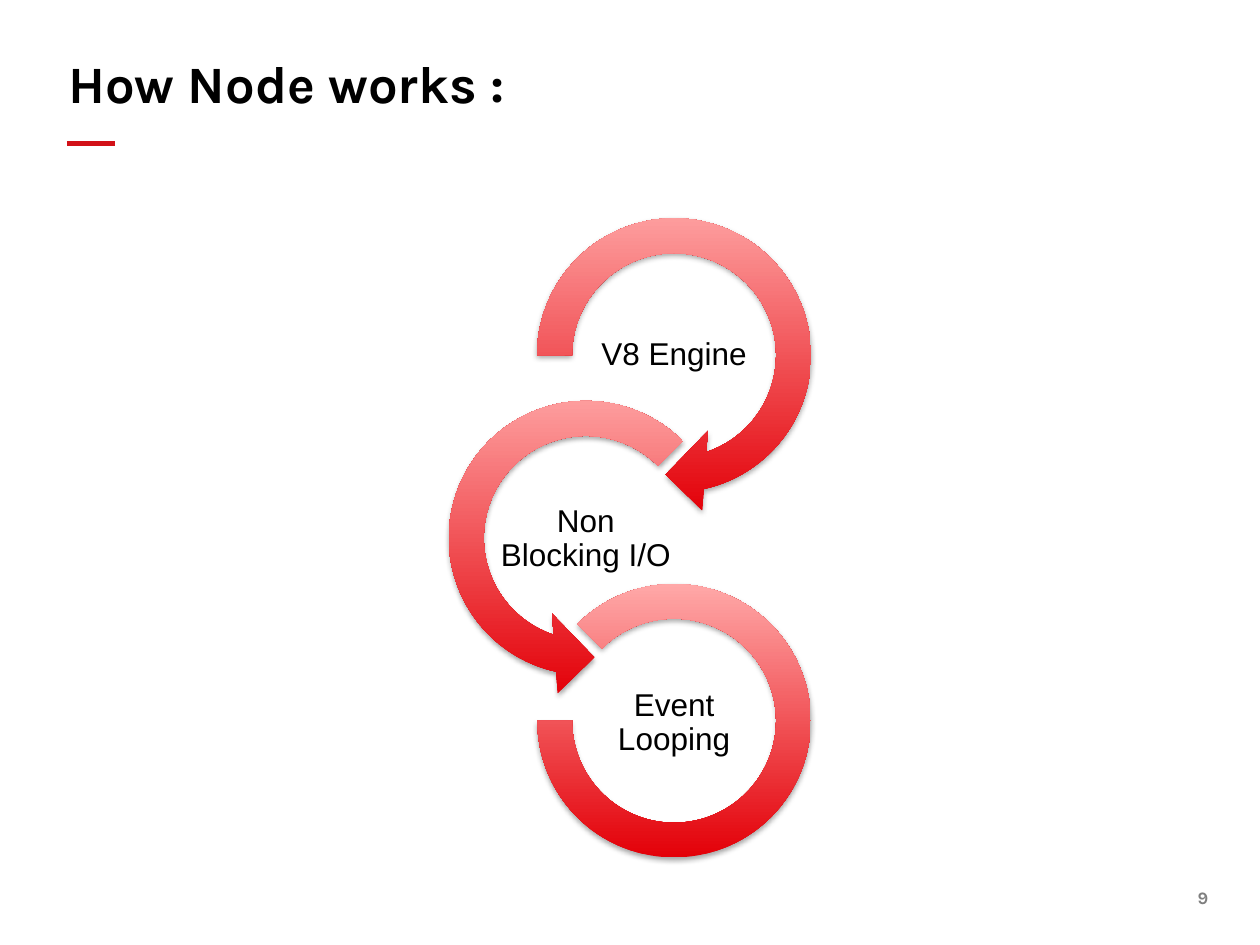
from lxml import etree
from pptx import Presentation, util as u
from pptx.dml.color import RGBColor
from pptx.enum import shapes, text
from pptx.oxml.ns import qn

TITLE = "How Node works :"
PAGE_NUMBER = "9"
SHAPE = shapes.MSO_SHAPE
# label, preset, column, diameter, adjustments
STEPS = [
    ("V8 Engine", SHAPE.CIRCULAR_ARROW, 1, 2.53, (0.11, 11.42, 45, 108, 0.125)),
    ("Non Blocking I/O", SHAPE.LEFT_CIRCULAR_ARROW, 0, 2.53, (0.11, 11.42, 63, 189, 0.125)),
    ("Event Looping", SHAPE.BLOCK_ARC, 1, 2.17, (135, 108, 0.127)),
]
COLORS = {"text": "000000", "accent": "D21118", "number": "7F7F7F",
          "ring_bottom": "E30008", "ring_top": "FFA8A8", "shadow": "000000"}

WIDTH, HEIGHT = 10, 7.5
FIRST_X, COLUMN_STEP = 4.65, 0.7
FIRST_Y, RING_STEP, LABEL_STEP = 2.82, 1.45, 1.46
LABEL_WIDTH, LABEL_HEIGHT = 1.4, 0.7


def rgb(name):
    return RGBColor.from_string(COLORS[name])


def centred(x, y, width, height):
    """Box around a centre point, as left, top, width, height."""
    return x - width / 2, y - height / 2, width, height


def add_text(slide, content, box, font, size, color="text", bold=False, inset=0,
             align=text.PP_ALIGN.LEFT, anchor=text.MSO_ANCHOR.TOP, spacing=0.9):
    frame = slide.shapes.add_textbox(*map(u.Inches, box)).text_frame
    frame.word_wrap = True
    frame.vertical_anchor = anchor
    frame.margin_left = frame.margin_right = u.Inches(inset)
    frame.margin_top = frame.margin_bottom = u.Inches(inset)
    frame.text = content
    paragraph = frame.paragraphs[0]
    paragraph.alignment = align
    paragraph.line_spacing = spacing
    run_font = paragraph.runs[0].font
    run_font.name, run_font.size, run_font.bold = font, u.Pt(size), bold
    run_font.color.rgb = rgb(color)


def add_soft_shadow(shape):
    shape.shadow.inherit = False
    effects = shape._element.spPr.find(qn("a:effectLst"))
    shadow = etree.SubElement(effects, qn("a:outerShdw"), blurRad=str(u.Pt(3.1)),
                              dist=str(u.Pt(1.8)), dir="5400000", rotWithShape="0")
    color = etree.SubElement(shadow, qn("a:srgbClr"), val=COLORS["shadow"])
    etree.SubElement(color, qn("a:alpha"), val="35000")


def add_ring(slide, preset, box, adjustments):
    ring = slide.shapes.add_shape(preset, *map(u.Inches, box))
    for index, value in enumerate(adjustments):
        ring.adjustments[index] = value
    ring.fill.gradient()
    ring.fill.gradient_angle = 90
    for stop, name in zip(ring.fill.gradient_stops, ("ring_bottom", "ring_top")):
        stop.color.rgb = rgb(name)
    ring.line.fill.background()
    add_soft_shadow(ring)


def add_accent(slide, left, right, y):
    accent = slide.shapes.add_connector(
        shapes.MSO_CONNECTOR.STRAIGHT, *map(u.Inches, (left, y, right, y)))
    accent.line.color.rgb = rgb("accent")
    accent.line.width = u.Pt(2.75)
    etree.SubElement(accent._element.spPr, qn("a:effectLst"))


def main():
    presentation = Presentation()
    presentation.slide_width = u.Inches(WIDTH)
    presentation.slide_height = u.Inches(HEIGHT)
    slide = presentation.slides.add_slide(presentation.slide_layouts[6])

    add_text(slide, PAGE_NUMBER, (9.25, 7.04, 0.34, 0.17), "Karla", 10, "number",
             bold=True, align=text.PP_ALIGN.RIGHT, spacing=1.01)
    add_accent(slide, 0.53, 0.91, 1.14)
    add_text(slide, TITLE, (0.54, 0.45, 8.93, 0.46), "Karla", 30, bold=True,
             anchor=text.MSO_ANCHOR.BOTTOM)

    for row, (label, preset, column, diameter, adjustments) in enumerate(STEPS):
        x = FIRST_X + column * COLUMN_STEP
        add_ring(slide, preset,
                 centred(x, FIRST_Y + row * RING_STEP, diameter, diameter), adjustments)
        add_text(slide, label,
                 centred(x, FIRST_Y + row * LABEL_STEP, LABEL_WIDTH, LABEL_HEIGHT),
                 "Arial", 18, inset=0.01, align=text.PP_ALIGN.CENTER,
                 anchor=text.MSO_ANCHOR.MIDDLE)

    presentation.save("out.pptx")


if __name__ == "__main__":
    main()
